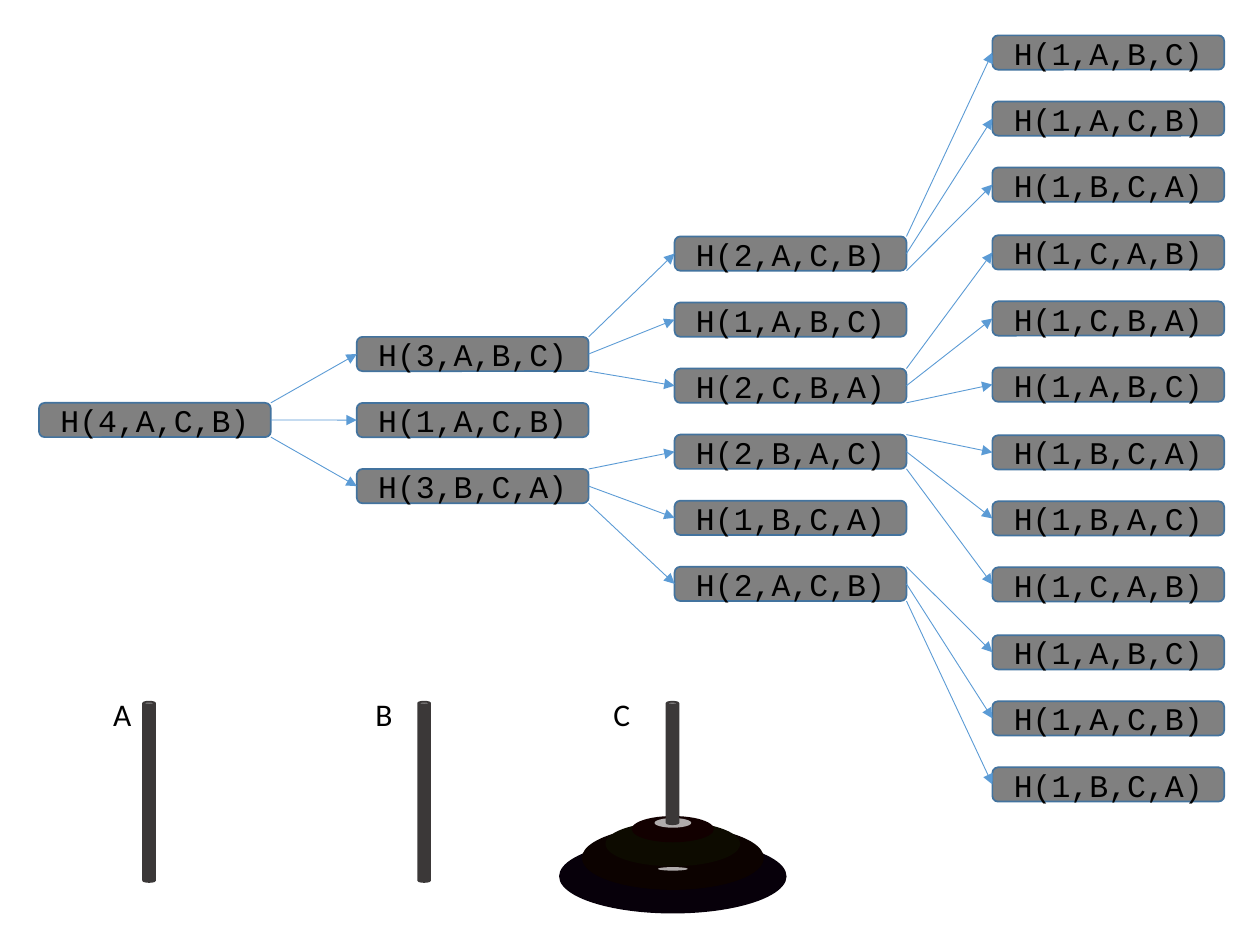
import pptx
import pptx.util
import pptx.dml.color
import pptx.enum.shapes
import pptx.enum.text
import pptx.oxml

Pt = pptx.util.Pt
RGBColor = pptx.dml.color.RGBColor
Shape = pptx.enum.shapes.MSO_SHAPE

BLACK = RGBColor(0x00, 0x00, 0x00)
BOX_FILL = RGBColor(0x80, 0x80, 0x80)
BOX_LINE = RGBColor(0x43, 0x73, 0x9E)
ARROW = RGBColor(0x5B, 0x9B, 0xD5)
PEG = RGBColor(0x3B, 0x38, 0x38)
SHINE = RGBColor(0xB0, 0xAC, 0xAC)

# Call tree: one list per column, with the top of its first box, and gaps
BOX_WIDTH, BOX_HEIGHT = 132.5, 19.6
LEFT, COLUMN_PITCH, ROW_PITCH = 22.3, 181.6, 37.75
COLUMNS = [
    (230.2, 0, ["4,A,C,B"]),
    (192.5, 0, ["3,A,B,C", "1,A,C,B", "3,B,C,A"]),
    (135.1, 0, ["2,A,C,B", "1,A,B,C", "2,C,B,A", "2,B,A,C", "1,B,C,A", "2,A,C,B"]),
    (20.2, 1, ["1,A,B,C", "1,A,C,B", "1,B,C,A", "1,C,A,B", "1,C,B,A", "1,A,B,C",
               "1,B,C,A", "1,B,A,C", "1,C,A,B", "1,A,B,C", "1,A,C,B", "1,B,C,A"]),
]

# Stacked disks, bottom first: width, top, height, colour
DISK_CENTER = 384.5
DISKS = [
    (130, 479.5, 42.5, RGBColor(0x07, 0x00, 0x0A)),
    (104, 472, 36.5, RGBColor(0x0C, 0x02, 0x00)),
    (77, 469.5, 25.5, RGBColor(0x0D, 0x0B, 0x00)),
    (47, 466.3, 15, RGBColor(0x12, 0x00, 0x00)),
    (21, 467.5, 5.5, SHINE),
    (17, 495.5, 2, SHINE),
]

# Pegs: label, label left, label width, peg left, peg height
PEGS = [
    ("A", 57.6, 28, 81.8, 103),
    ("B", 207.4, 25.2, 239, 103),
    ("C", 343.4, 29.5, 380.9, 70),
]


class Diagram:
    def __init__(self, slide):
        self.slide = slide
        self.box_font = "Courier New"
        self.label_font = "Calibri"
        self.size = Pt(18)

    def format_text(self, text_frame, text, font_name):
        text_frame.text = text
        font = text_frame.paragraphs[0].runs[0].font
        font.name, font.size = font_name, self.size
        font.color.rgb = BLACK

    def solid(self, kind, left, top, width, height, fill, line):
        shape = self.slide.shapes.add_shape(kind, Pt(left), Pt(top), Pt(width), Pt(height))
        shape.shadow.inherit = False
        shape.fill.solid()
        shape.fill.fore_color.rgb = fill
        shape.line.color.rgb = line
        shape.line.width = Pt(1)
        return shape

    def box(self, left, top, text):
        shape = self.solid(Shape.ROUNDED_RECTANGLE, left, top, BOX_WIDTH, BOX_HEIGHT,
                           BOX_FILL, BOX_LINE)
        shape.text_frame.vertical_anchor = pptx.enum.text.MSO_ANCHOR.MIDDLE
        self.format_text(shape.text_frame, text, self.box_font)
        shape.text_frame.paragraphs[0].alignment = pptx.enum.text.PP_ALIGN.CENTER
        return shape

    def label(self, left, top, width, height, text):
        text_box = self.slide.shapes.add_textbox(Pt(left), Pt(top), Pt(width), Pt(height))
        text_box.text_frame.word_wrap = False
        self.format_text(text_box.text_frame, text, self.label_font)

    def arrow(self, parent, child, branch):
        """Branch 0, 1 or 2 leaves the parent's right side at its top, middle or bottom."""
        connector = self.slide.shapes.add_connector(
            pptx.enum.shapes.MSO_CONNECTOR.STRAIGHT,
            parent.left + parent.width, parent.top + parent.height * branch // 2,
            child.left, child.top + child.height // 2)
        if branch == 1:
            connector.begin_connect(parent, 3)
        connector.end_connect(child, 1)
        connector.line.color.rgb = ARROW
        connector.line.width = Pt(0.5)
        namespace = pptx.oxml.ns.nsdecls("a")
        connector.line._get_or_add_ln().append(
            pptx.oxml.parse_xml(f'<a:tailEnd {namespace} type="triangle"/>'))
        connector._element.spPr.append(pptx.oxml.parse_xml(f"<a:effectLst {namespace}/>"))


def main():
    presentation = pptx.Presentation()
    presentation.slide_width, presentation.slide_height = Pt(720), Pt(540)
    diagram = Diagram(presentation.slides.add_slide(presentation.slide_layouts[6]))

    # Disks on peg C
    for width, top, height, color in DISKS:
        disk = diagram.solid(Shape.OVAL, DISK_CENTER - width / 2, top, width, height,
                             color, color)
        disk.line.fill.background()

    # Pegs with labels
    for text, label_left, label_width, peg_left, peg_height in PEGS:
        diagram.label(label_left, 393.8, label_width, 28.8, text)
        diagram.solid(Shape.CAN, peg_left, 401, 6.8, peg_height, PEG, PEG)

    # Boxes, in threes with an extra gap after each three in the last column
    levels = []
    for column, (top, gap, calls) in enumerate(COLUMNS):
        left = LEFT + column * COLUMN_PITCH
        levels.append([diagram.box(left, top + row * ROW_PITCH + row // 3 * gap, f"H({call})")
                       for row, call in enumerate(calls)])

    # Each call on more than one disk leads to the next three calls
    for parents, children in zip(levels, levels[1:]):
        splitting = [box for box in parents if not box.text_frame.text.startswith("H(1")]
        for index, child in enumerate(children):
            diagram.arrow(splitting[index // 3], child, index % 3)

    presentation.save("out.pptx")


if __name__ == "__main__":
    main()
